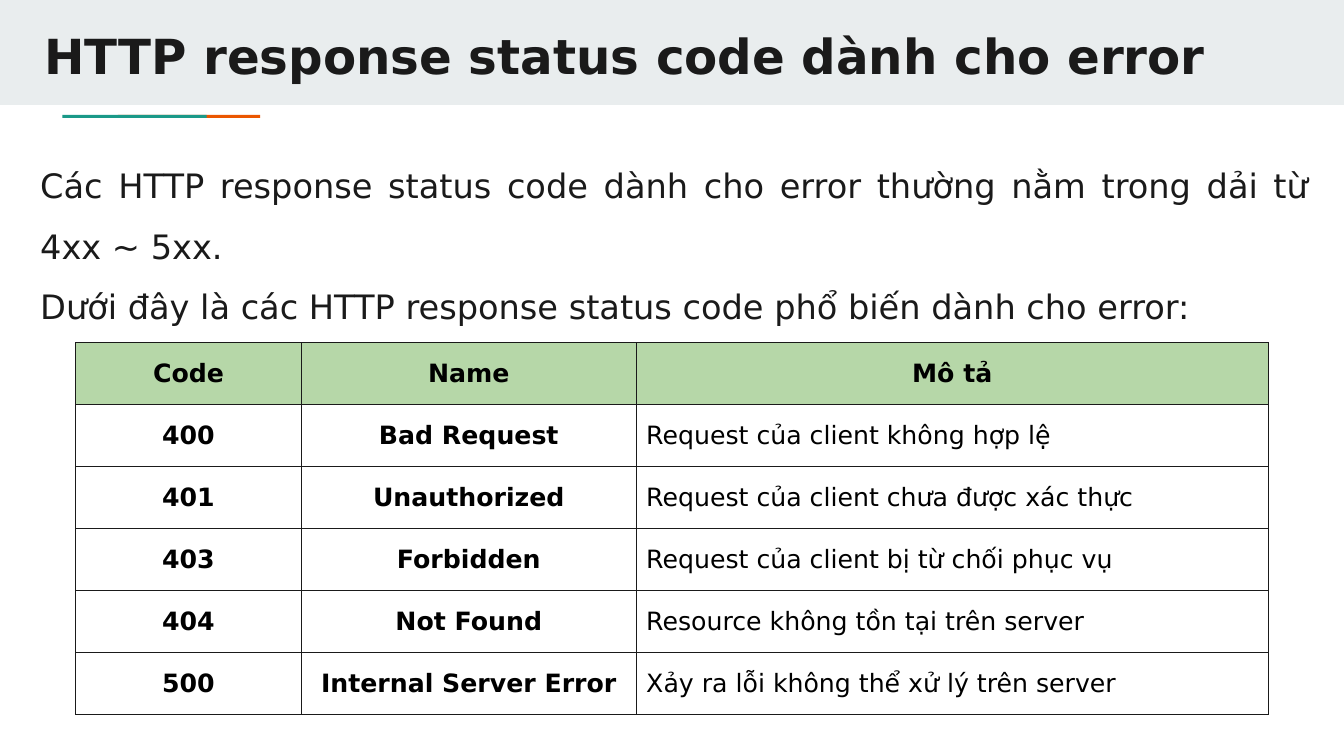
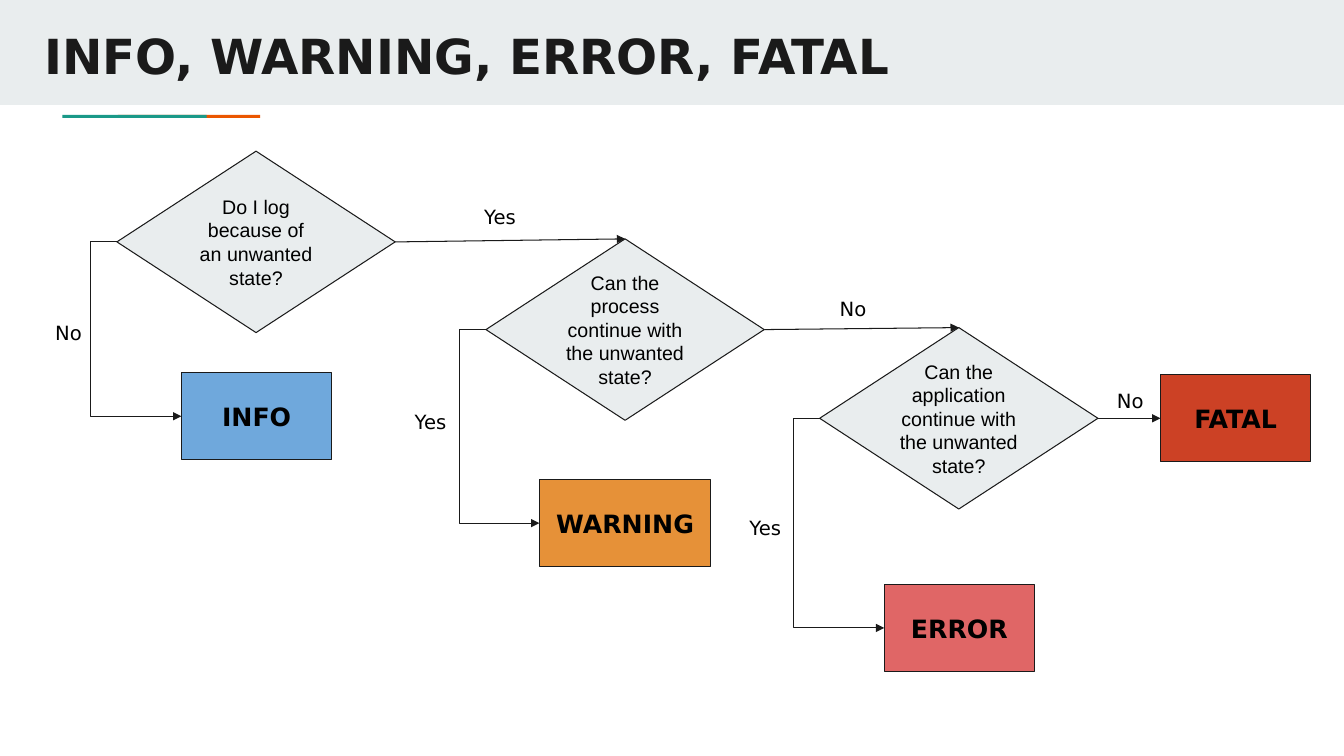
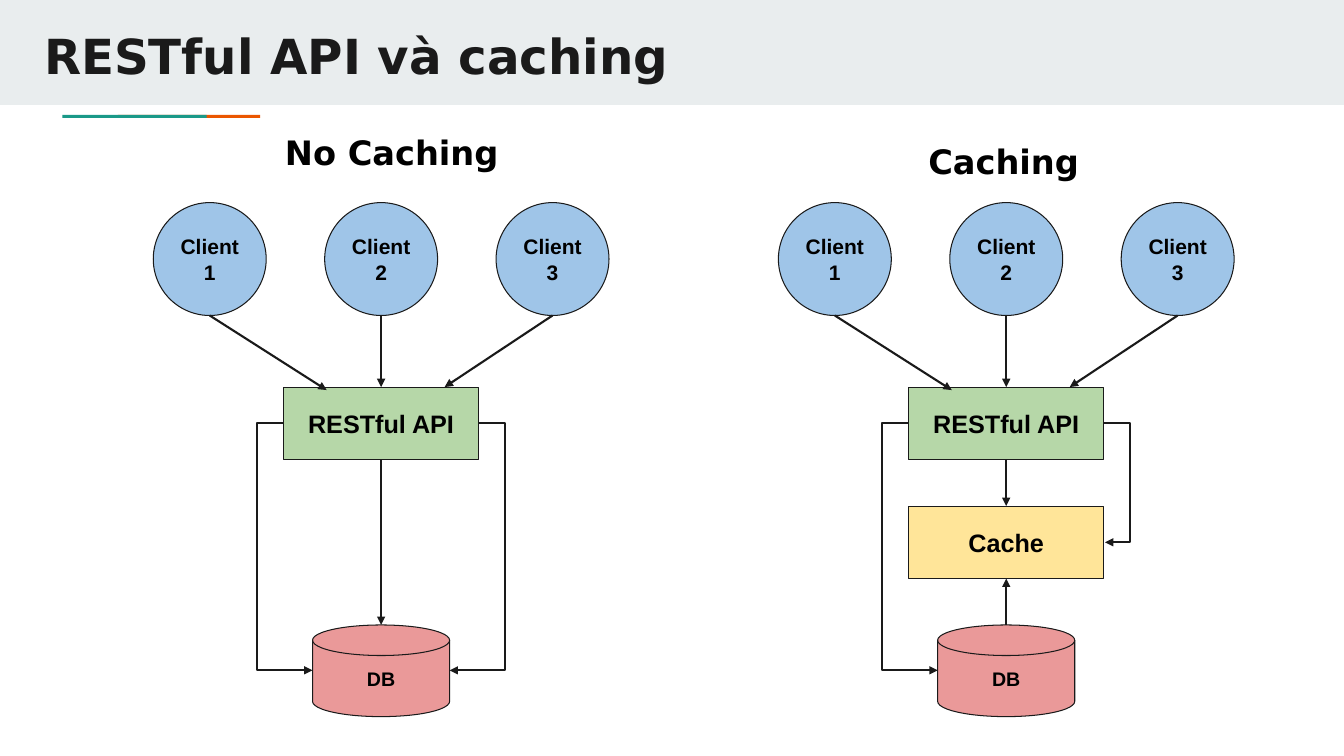
"""Build three slides on API errors, log levels and caching."""
from lxml.etree import SubElement
from pptx import Presentation
from pptx.dml.color import RGBColor
from pptx.enum.shapes import MSO_CONNECTOR as LINK, MSO_SHAPE as SHAPE
from pptx.enum.text import MSO_ANCHOR as ANCHOR, PP_ALIGN as ALIGN
from pptx.oxml.ns import qn
from pptx.util import Inches, Pt

COLORS = {
    "ink": "1A1A1A", "black": "000000", "band": "E9EDEE",
    "teal": "1A9988", "orange": "EB5600", "green": "B6D7A8",
    "info": "6FA8DC", "warning": "E69138", "error": "E06666", "fatal": "CC4125",
    "client": "9FC5E8", "database": "EA9999", "cache": "FFE599",
}
RGB = {name: RGBColor.from_string(value) for name, value in COLORS.items()}
HEAD, BODY = "DejaVu Sans", "Arial"


def add_block(slide, box, text="", size=18, font=HEAD, bold=False, fill=None,
              kind=SHAPE.RECTANGLE, outline=True, color="black", align=ALIGN.CENTER):
    box = [Inches(length) for length in box]
    if fill:
        block = slide.shapes.add_shape(kind, *box)
        block.shadow.inherit = False
        block.fill.solid()
        block.fill.fore_color.rgb = RGB[fill]
        if outline:
            block.line.color.rgb = RGB["ink"]
            block.line.width = Pt(0.75)
        else:
            block.line.fill.background()
    else:
        block = slide.shapes.add_textbox(*box)
    frame = block.text_frame
    frame.word_wrap = True
    frame.vertical_anchor = ANCHOR.MIDDLE if fill else ANCHOR.TOP
    frame.margin_left = frame.margin_right = Inches(0.1)
    frame.margin_top = frame.margin_bottom = Inches(0.1)
    for index, line in enumerate(text.split("\n") if text else []):
        paragraph = frame.add_paragraph() if index else frame.paragraphs[0]
        paragraph.alignment = align
        run = paragraph.add_run()
        run.text = line
        run.font.name, run.font.size, run.font.bold = font, Pt(size), bold
        run.font.color.rgb = RGB[color]
    return block


def add_arrow(slide, start, end, width=0.75, bend=None, source=None, target=None):
    ends = [Inches(length) for length in (*start, *end)]
    arrow = slide.shapes.add_connector(LINK.STRAIGHT if bend is None else LINK.ELBOW, *ends)
    arrow.line.color.rgb = RGB["ink"]
    arrow.line.width = Pt(width)
    properties = arrow.element.spPr
    SubElement(properties.find(qn("a:ln")), qn("a:tailEnd"), type="triangle")
    SubElement(properties, qn("a:effectLst"))
    if bend is not None:
        ratio = round((bend - start[0]) / (end[0] - start[0]) * 100000)
        guides = properties.find(qn("a:prstGeom")).get_or_add_avLst()
        SubElement(guides, qn("a:gd"), name="adj1", fmla=f"val {ratio}")
    if source:
        arrow.begin_connect(*source)
    if target:
        arrow.end_connect(*target)


deck = Presentation()
deck.slide_width, deck.slide_height = Inches(13.33), Inches(7.5)

pages = []
for title in ("HTTP response status code dành cho error",
              "INFO, WARNING, ERROR, FATAL",
              "RESTful API và caching"):
    page = deck.slides.add_slide(deck.slide_layouts[6])
    add_block(page, (0, 0, 13.33, 1.04), fill="band", outline=False)
    add_block(page, (1.17, 1.14, 1.41, 0.03), fill="orange", outline=False)
    add_block(page, (0.62, 1.14, 1.43, 0.03), fill="teal", outline=False)
    add_block(page, (0.34, 0.16, 12.7, 0.78), title, 34.5, bold=True,
              color="ink", align=ALIGN.LEFT)
    pages.append(page)
status_page, level_page, caching_page = pages

intro = add_block(
    status_page, (0.3, 1.34, 12.78, 1.86),
    "Các HTTP response status code dành cho error thường nằm trong dải từ 4xx ~ 5xx.\n"
    "Dưới đây là các HTTP response status code phổ biến dành cho error:",
    24, color="ink", align=ALIGN.JUSTIFY)
for paragraph in intro.text_frame.paragraphs:
    paragraph.line_spacing = 1.5

status_rows = [
    ("Code", "Name", "Mô tả"),
    ("400", "Bad Request", "Request của client không hợp lệ"),
    ("401", "Unauthorized", "Request của client chưa được xác thực"),
    ("403", "Forbidden", "Request của client bị từ chối phục vụ"),
    ("404", "Not Found", "Resource không tồn tại trên server"),
    ("500", "Internal Server Error", "Xảy ra lỗi không thể xử lý trên server"),
]
statuses = status_page.shapes.add_table(
    len(status_rows), 3, Inches(0.75), Inches(3.4), Inches(11.83), Inches(3.69)).table
statuses.first_row = statuses.horz_banding = False
for column, width in zip(statuses.columns, (2.24, 3.32, 6.27)):
    column.width = Inches(width)
for row_index, texts in enumerate(status_rows):
    for column_index, text in enumerate(texts):
        cell = statuses.cell(row_index, column_index)
        cell.margin_left = cell.margin_right = Inches(0.1)
        cell.margin_top = cell.margin_bottom = Inches(0.1)
        cell.vertical_anchor = ANCHOR.MIDDLE
        for side in ("lnL", "lnR", "lnT", "lnB"):
            border = SubElement(cell._tc.get_or_add_tcPr(), qn(f"a:{side}"), w=str(Pt(0.75)))
            paint = SubElement(border, qn("a:solidFill"))
            SubElement(paint, qn("a:srgbClr"), val=COLORS["ink"])
        if row_index == 0:
            cell.fill.solid()
            cell.fill.fore_color.rgb = RGB["green"]
        else:
            cell.fill.background()
        description = row_index > 0 and column_index == 2
        paragraph = cell.text_frame.paragraphs[0]
        paragraph.alignment = ALIGN.LEFT if description else ALIGN.CENTER
        run = paragraph.add_run()
        run.text = text
        run.font.name, run.font.size, run.font.bold = HEAD, Pt(18), not description
        run.font.color.rgb = RGB["black"]

decisions = [
    (1.16, 1.5, "Do I log because of an unwanted state?", "INFO", (1.8, 3.7, 1.49, 0.86)),
    (4.82, 2.37, "Can the process continue with the unwanted state?",
     "WARNING", (5.35, 4.76, 1.7, 0.86)),
    (8.13, 3.25, "Can the application continue with the unwanted state?",
     "ERROR", (8.77, 5.8, 1.49, 0.86)),
]
previous = None
for left, top, question, level, level_box in decisions:
    decision = add_block(level_page, (left, top, 2.76, 1.8), question, 14, BODY,
                         fill="band", kind=SHAPE.DIAMOND)
    add_block(level_page, level_box, level, bold=True, fill=level.lower())
    add_arrow(level_page, (left, top + 0.9), (level_box[0], level_box[1] + 0.43),
              bend=left - 0.26)
    if previous:
        add_arrow(level_page, (0, 0), (left, top),
                  source=(previous, 3), target=(decision, 0))
    previous = decision
fatal = add_block(level_page, (11.51, 3.72, 1.49, 0.86), "FATAL", bold=True, fill="fatal")
add_arrow(level_page, (10.89, 4.15), (11.51, 4.15), source=(previous, 3), target=(fatal, 1))

for left, top, height, answer in (
        (0.34, 3.08, 0.35, "No"), (3.93, 3.97, 0.35, "Yes"), (7.25, 5.02, 0.35, "Yes"),
        (4.62, 1.93, 0.2, "Yes"), (8.12, 2.85, 0.2, "No"), (10.87, 3.76, 0.2, "No")):
    add_block(level_page, (left, top, 0.68, height), answer, 14)

for heading, heading_box, center, cached in (
        ("No Caching", (2.56, 1.21, 2.65, 0.35), 3.78, False),
        ("Caching", (9.09, 1.3, 1.73, 0.35), 9.98, True)):
    add_block(caching_page, heading_box, heading, 24, bold=True)
    api_left, api_right = center - 0.97, center + 0.97
    db_left, db_right = center - 0.68, center + 0.68
    api = add_block(caching_page, (api_left, 3.84, 1.94, 0.72), "RESTful API",
                    font=BODY, bold=True, fill="green")
    add_block(caching_page, (db_left, 6.2, 1.36, 0.91), "DB", 14, BODY, True,
              "database", SHAPE.FLOWCHART_MAGNETIC_DISK)
    for index, (tip_x, tip_y) in enumerate(((-0.54, 3.87), (0, 3.84), (0.63, 3.84))):
        client_x = center + (index - 1) * 1.7
        add_block(caching_page, (client_x - 0.56, 2.01, 1.12, 1.12), f"Client {index + 1}",
                  15, BODY, True, "client", SHAPE.OVAL)
        add_arrow(caching_page, (client_x, 3.13), (center + tip_x, tip_y), 1.5,
                  target=(api, 0) if tip_x == 0 else None)
    add_arrow(caching_page, (api_left, 4.2), (db_left, 6.65), 1.5, bend=api_left - 0.26)
    if cached:
        cache = add_block(caching_page, (api_left, 5.02, 1.94, 0.72), "Cache",
                          font=BODY, bold=True, fill="cache")
        add_arrow(caching_page, (center, 4.56), (center, 5.02), 1.5,
                  source=(api, 2), target=(cache, 0))
        add_arrow(caching_page, (center, 6.2), (center, 5.74), 1.5, target=(cache, 2))
        add_arrow(caching_page, (api_right, 4.2), (api_right + 0.01, 5.38), 1.5,
                  bend=api_right + 0.26)
    else:
        add_arrow(caching_page, (center, 4.56), (center, 6.2), 1.5, source=(api, 2))
        add_arrow(caching_page, (api_right, 4.2), (db_right, 6.65), 1.5,
                  bend=api_right + 0.26)

deck.save("out.pptx")
